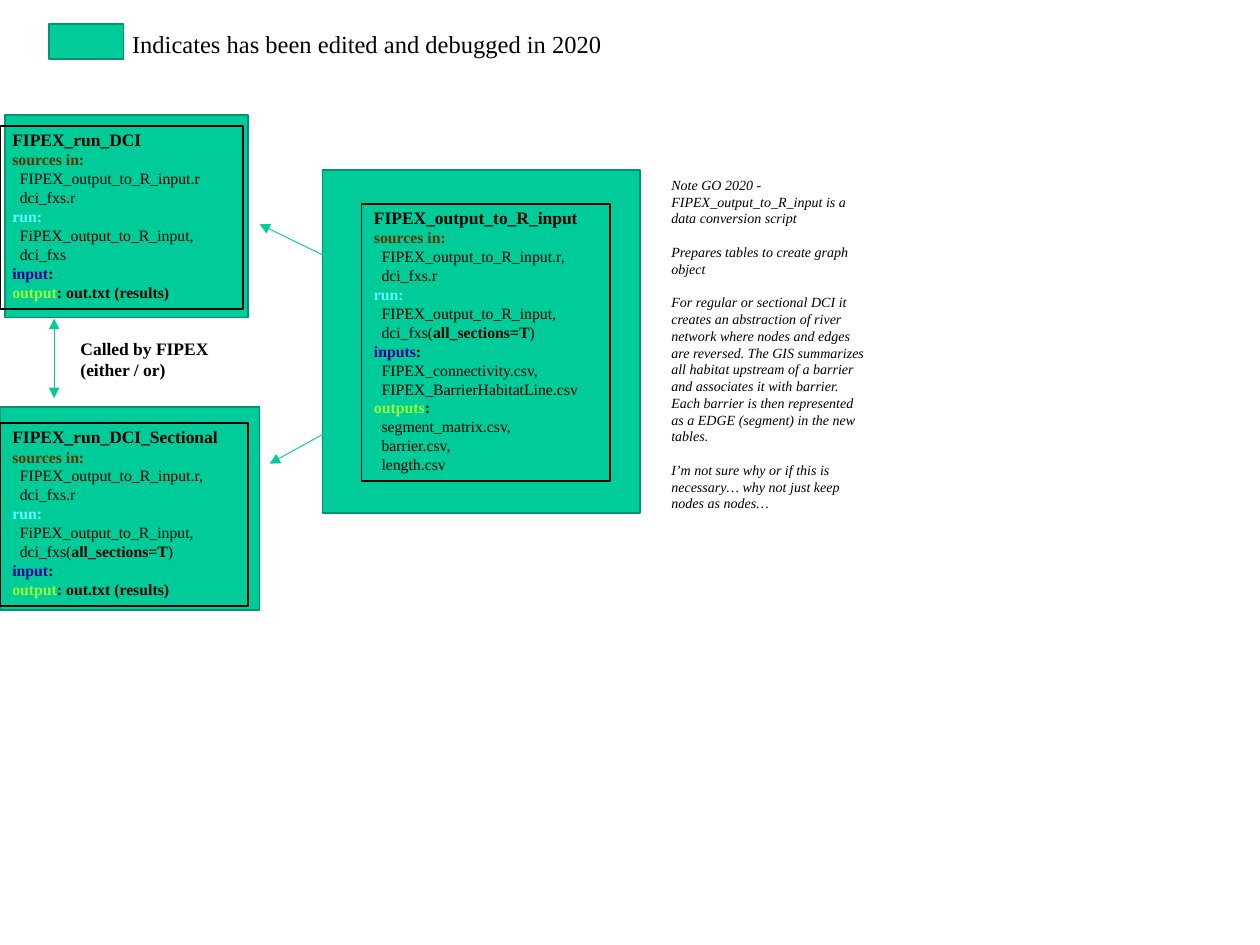
from pptx import Presentation
from pptx.dml.color import RGBColor as RGB
from pptx.enum.shapes import MSO_CONNECTOR as LINK, MSO_SHAPE as SHAPE
from pptx.enum.text import MSO_ANCHOR as ANCHOR, MSO_AUTO_SIZE as FIT, PP_ALIGN as ALIGN
from pptx.oxml.ns import qn
from pptx.util import Pt
from lxml.etree import SubElement

PX = 9144  # 100 px to the inch
INDENT = 6
FONT = "Times New Roman"
GREEN = RGB(0x00, 0xCC, 0x99)
EDGE = RGB(0x00, 0x95, 0x6F)
BLACK = RGB(0, 0, 0)
BROWN = RGB(0x66, 0x33, 0x00)
CYAN = RGB(0x66, 0xFF, 0xFF)
NAVY = RGB(0x00, 0x00, 0x99)
LIME = RGB(0x99, 0xFF, 0x33)

deck = Presentation()
deck.slide_width, deck.slide_height = 1000 * PX, 750 * PX
slide = deck.slides.add_slide(deck.slide_layouts[6])
shapes = slide.shapes


def add_box(place, fill, edge):
    box = shapes.add_shape(SHAPE.RECTANGLE, *[n * PX for n in place])
    box.shadow.inherit = False
    if fill is None:
        box.fill.background()
    else:
        box.fill.solid()
        box.fill.fore_color.rgb = fill
    box.line.color.rgb = edge
    box.line.width = Pt(1)
    return box


def style(font, size, color=BLACK, bold=False, italic=False):
    font.name, font.size = FONT, Pt(size)
    font.bold, font.italic = bold, italic
    font.color.rgb = color


# Green panels: sectional run, plain run, conversion, legend key
for place in [(0, 323, 206, 161), (4, 91, 193, 161),
              (256, 135, 252, 272), (39, 19, 59, 28)]:
    add_box(place, GREEN, EDGE)

# Script cards: heading, then labels (word, colour, rest) and indented lines
# as text, where a part between bars is bold
SOURCES = ("sources in:", BROWN, "")
RUN = ("run:", CYAN, "")
RESULT = [("input", NAVY, ":"), ("output", LIME, ": out.txt (results)")]
SECTIONS = "dci_fxs(|all_sections=T|)"
cards = [
    ((0, 100, 193, 145), "FIPEX_run_DCI",
     [SOURCES, "FIPEX_output_to_R_input.r", "dci_fxs.r",
      RUN, "FiPEX_output_to_R_input,", "dci_fxs", *RESULT]),
    ((0, 336, 197, 145), "FIPEX_run_DCI_Sectional",
     [SOURCES, "FIPEX_output_to_R_input.r,", "dci_fxs.r",
      RUN, "FiPEX_output_to_R_input,", SECTIONS, *RESULT]),
    ((287, 162, 197, 220), "FIPEX_output_to_R_input",
     [SOURCES, "FIPEX_output_to_R_input.r,", "dci_fxs.r",
      RUN, "FIPEX_output_to_R_input,", SECTIONS,
      ("inputs", NAVY, ":"),
      "FIPEX_connectivity.csv,", "FIPEX_BarrierHabitatLine.csv",
      ("outputs", LIME, ":"),
      "segment_matrix.csv,", "barrier.csv,", "length.csv"]),
]
for place, head, lines in cards:
    frame = add_box(place, None, BLACK).text_frame
    frame.word_wrap = True
    frame.auto_size = FIT.SHAPE_TO_FIT_TEXT
    frame.vertical_anchor = ANCHOR.TOP
    para = frame.paragraphs[0]
    para.text = head
    para.alignment = ALIGN.LEFT
    para.line_spacing, para.space_before = 0.85, Pt(1.9)
    style(para.font, 10, bold=True)
    for line in lines:
        para = frame.add_paragraph()
        para.alignment = ALIGN.LEFT
        para.line_spacing, para.space_before = 0.85, Pt(1.6)
        if isinstance(line, str):
            props = para._p.get_or_add_pPr()
            props.set("marL", str(INDENT * PX))
            props.set("indent", "0")
            parts = [(text, BLACK, i % 2 == 1)
                     for i, text in enumerate(line.split("|"))]
        else:
            word, color, rest = line
            parts = [(word, color, True), (rest, BLACK, True)]
        for text, color, bold in parts:
            if text:
                run = para.add_run()
                run.text = text
                style(run.font, 9, color, bold)

# Arrows, with a head at both ends
for ends in [(43, 253, 43, 316), (272, 210, 206, 178), (272, 336, 214, 368)]:
    arrow = shapes.add_connector(LINK.STRAIGHT, *[n * PX for n in ends])
    arrow.line.color.rgb = GREEN
    arrow.line.width = Pt(0.5)
    line = arrow.line._get_or_add_ln()
    for tag in ("a:headEnd", "a:tailEnd"):
        SubElement(line, qn(tag), type="triangle")
    SubElement(arrow._element.spPr, qn("a:effectLst"))

# Captions: link between the runs, legend, side note
NOTE = [
    "Note GO 2020 - FIPEX_output_to_R_input is a data conversion script",
    "Prepares tables to create graph object",
    "For regular or sectional DCI it creates an abstraction of river network "
    "where nodes and edges are reversed. The GIS summarizes all habitat "
    "upstream of a barrier and associates it with barrier. Each barrier is "
    "then represented as a EDGE (segment) in the new tables.",
    "I’m not sure why or if this is necessary… why not just keep nodes as nodes…",
]
captions = [
    ((54, 263, 125, 44), ["Called by FIPEX", "(either / or)"],
     10, True, False, False, 0),
    ((95, 18, 454, 34), ["Indicates has been edited and debugged in 2020"],
     14, False, False, True, 0),
    ((523, 135, 173, 276), NOTE, 8, False, True, True, 9.6),
]
for place, texts, size, bold, italic, wrap, gap in captions:
    frame = shapes.add_textbox(*[n * PX for n in place]).text_frame
    frame.word_wrap = wrap
    frame.auto_size = FIT.SHAPE_TO_FIT_TEXT
    for i, text in enumerate(texts):
        para = frame.add_paragraph() if i else frame.paragraphs[0]
        para.text = text
        para.space_before = Pt(gap if i else 0)
        style(para.font, size, bold=bold, italic=italic)

deck.save("out.pptx")
